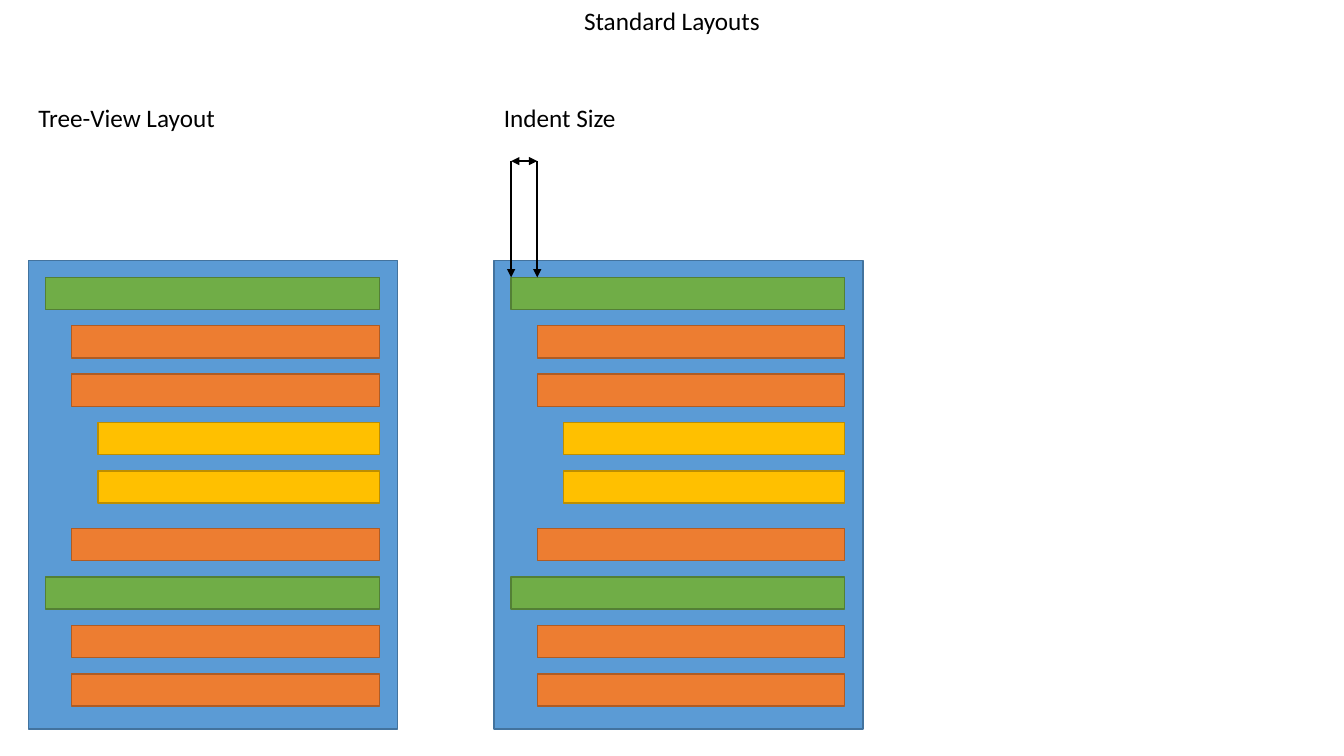
from dataclasses import dataclass

from lxml import etree
from pptx import Presentation
from pptx import util as u
from pptx.dml.color import RGBColor
from pptx.enum import shapes, text
from pptx.oxml import ns


@dataclass(frozen=True)
class Paint:
    fill: str
    edge: str


@dataclass(frozen=True)
class Theme:
    panel: Paint = Paint("5B9BD5", "43739E")
    levels: tuple[Paint, ...] = (
        Paint("70AD47", "538035"),
        Paint("ED7D31", "AF5C24"),
        Paint("FFC000", "BD8E00"),
    )
    ink: str = "000000"
    font: str = "Calibri"
    size: u.Pt = u.Pt(18)
    edge: u.Pt = u.Pt(1)
    arrow: u.Pt = u.Pt(1.5)


@dataclass(frozen=True)
class Box:
    left: int
    top: int
    width: int
    height: int


@dataclass(frozen=True)
class Label:
    words: str
    box: Box
    align: text.PP_ALIGN = text.PP_ALIGN.LEFT
    wrap: bool = False


@dataclass(frozen=True)
class Arrow:
    start: tuple[int, int]
    end: tuple[int, int]
    double: bool = False


THEME = Theme()
WIDE, HIGH = u.Cm(33.87), u.Cm(19.05)
TREE_X, INDENT_X = u.Cm(0.72), u.Cm(12.45)
PANEL_Y, PANEL_W, PANEL_H = u.Cm(6.56), u.Cm(9.3), u.Cm(11.81)
PAD, INDENT, RIGHT = u.Cm(0.43), u.Cm(0.66), u.Cm(8.84)
PITCH, BAR_H, EXTRA = u.Cm(1.22), u.Cm(0.81), u.Cm(0.23)
ARROW_Y, LABEL_Y, LABEL_H = u.Cm(4.06), u.Cm(2.45), u.Cm(1.02)
LEVELS = (0, 1, 1, 2, 2, 1, 0, 1, 1)


def draw_box(slide, box: Box, paint: Paint) -> None:
    shape = slide.shapes.add_shape(
        shapes.MSO_SHAPE.RECTANGLE, box.left, box.top, box.width, box.height
    )
    shape.shadow.inherit = False
    shape.fill.solid()
    shape.fill.fore_color.rgb = RGBColor.from_string(paint.fill)
    shape.line.color.rgb = RGBColor.from_string(paint.edge)
    shape.line.width = THEME.edge


def draw_tree(slide, left: int) -> None:
    draw_box(slide, Box(left, PANEL_Y, PANEL_W, PANEL_H), THEME.panel)
    top = PANEL_Y + PAD
    last = 0
    for level in LEVELS:
        if last == 2 and level < last:
            top += EXTRA
        inset = PAD + level * INDENT
        draw_box(slide, Box(left + inset, top, RIGHT - inset, BAR_H), THEME.levels[level])
        top += PITCH
        last = level


def draw_arrow(slide, arrow: Arrow) -> None:
    line = slide.shapes.add_connector(
        shapes.MSO_CONNECTOR.STRAIGHT, *arrow.start, *arrow.end
    )
    line.line.color.rgb = RGBColor.from_string(THEME.ink)
    line.line.width = THEME.arrow
    stroke = line.line._get_or_add_ln()
    for tag in ("a:headEnd", "a:tailEnd") if arrow.double else ("a:tailEnd",):
        etree.SubElement(stroke, ns.qn(tag), type="triangle")
    etree.SubElement(line._element.spPr, ns.qn("a:effectLst"))


def draw_label(slide, label: Label) -> None:
    box = label.box
    frame = slide.shapes.add_textbox(box.left, box.top, box.width, box.height).text_frame
    frame.word_wrap = label.wrap
    frame.auto_size = text.MSO_AUTO_SIZE.SHAPE_TO_FIT_TEXT
    line = frame.paragraphs[0]
    line.text = label.words
    line.alignment = label.align
    line.font.name = THEME.font
    line.font.size = THEME.size
    line.font.color.rgb = RGBColor.from_string(THEME.ink)


def main() -> None:
    deck = Presentation()
    deck.slide_width, deck.slide_height = WIDE, HIGH
    slide = deck.slides.add_slide(deck.slide_layouts[6])

    for left in (TREE_X, INDENT_X):
        draw_tree(slide, left)

    near = INDENT_X + PAD
    far = near + INDENT
    for x in (near, far):
        draw_arrow(slide, Arrow((x, ARROW_Y), (x, PANEL_Y + PAD)))
    draw_arrow(slide, Arrow((near, ARROW_Y), (far, ARROW_Y), double=True))

    for label in (
        Label("Tree-View Layout", Box(TREE_X, LABEL_Y, u.Cm(5), LABEL_H)),
        Label("Indent Size", Box(INDENT_X, LABEL_Y, u.Cm(3.35), LABEL_H)),
        Label("Standard Layouts", Box(0, 0, WIDE, LABEL_H), text.PP_ALIGN.CENTER, True),
    ):
        draw_label(slide, label)

    deck.save("out.pptx")


main()
